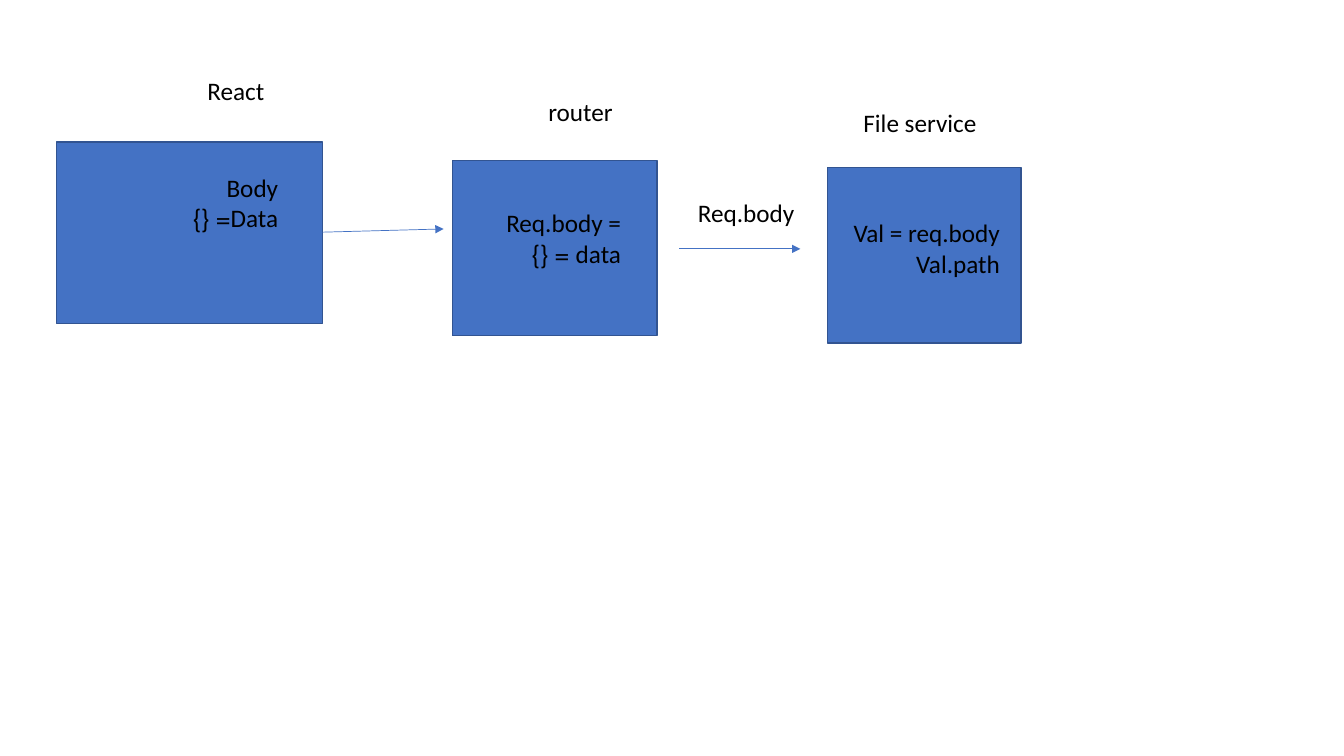
"""Build a slide showing how a request body flows from React to a file service."""
from lxml.etree import SubElement
from pptx import Presentation
from pptx.dml.color import RGBColor
from pptx.enum.shapes import MSO_CONNECTOR, MSO_SHAPE
from pptx.enum.text import MSO_AUTO_SIZE, PP_ALIGN
from pptx.oxml.ns import qn
from pptx.util import Cm, Pt

COLOURS = {"box": "4472C4", "outline": "325491", "text": "000000"}
FONT = "Calibri"
TEXT_WIDTH = 4.29
LABEL_HEIGHT, LINE_HEIGHT = 1.03, 0.77

STAGES = [
    {
        "box": (MSO_SHAPE.RECTANGLE, 1.42, 3.58, 6.71, 4.57),
        "label": ("React", 2.62, 1.78),
        "content": ("Body\nData= {}", 2.97, 4.22),
    },
    {
        "box": (MSO_SHAPE.ACTION_BUTTON_CUSTOM, 11.4, 4.04, 5.16, 4.42),
        "label": ("router", 11.4, 2.31),
        "content": ("Req.body = data = {}", 11.61, 5.11),
    },
    {
        "box": (MSO_SHAPE.ACTION_BUTTON_CUSTOM, 20.85, 4.22, 4.88, 4.42),
        "label": ("File service", 20.57, 2.57),
        "content": ("Val = req.body\nVal.path", 21.16, 5.36),
    },
]
ARROWS = [(8.13, 5.85, 11.18, 5.77), (17.12, 6.27, 20.17, 6.27)]
ARROW_LABEL = ("Req.body", 15.98, 4.85)


def colour(name):
    """Return the named colour."""
    return RGBColor.from_string(COLOURS[name])


def add_box(slide, kind, *place):
    """Add a filled and outlined stage box."""
    box = slide.shapes.add_shape(kind, *map(Cm, place))
    box.shadow.inherit = False
    box.fill.solid()
    box.fill.fore_color.rgb = colour("box")
    box.line.color.rgb = colour("outline")
    box.line.width = Pt(1)


def add_text(slide, text, left, top, *, lines=1, size=18):
    """Add a right-to-left text box tall enough for its lines."""
    height = LABEL_HEIGHT + (lines - 1) * LINE_HEIGHT
    box = slide.shapes.add_textbox(*map(Cm, (left, top, TEXT_WIDTH, height)))
    frame = box.text_frame
    frame.word_wrap = True
    frame.auto_size = MSO_AUTO_SIZE.SHAPE_TO_FIT_TEXT
    frame.text = text
    for para in frame.paragraphs:
        para.alignment = PP_ALIGN.RIGHT
        para._p.get_or_add_pPr().set("rtl", "1")
        for span in para.runs:
            span.font.name = FONT
            span.font.size = Pt(size)
            span.font.color.rgb = colour("text")


def add_arrow(slide, *ends):
    """Add a thin arrow between two points."""
    arrow = slide.shapes.add_connector(MSO_CONNECTOR.STRAIGHT, *map(Cm, ends))
    arrow.line.color.rgb = colour("box")
    arrow.line.width = Pt(0.5)
    SubElement(arrow.line._get_or_add_ln(), qn("a:tailEnd"), type="triangle")
    SubElement(arrow._element.spPr, qn("a:effectLst"))


deck = Presentation()
deck.slide_width, deck.slide_height = Cm(33.87), Cm(19.05)
page = deck.slides.add_slide(deck.slide_layouts[6])

for stage in STAGES:
    add_box(page, *stage["box"])
    add_text(page, *stage["label"])
    add_text(page, *stage["content"], lines=2)
for ends in ARROWS:
    add_arrow(page, *ends)
add_text(page, *ARROW_LABEL)

deck.save("out.pptx")
